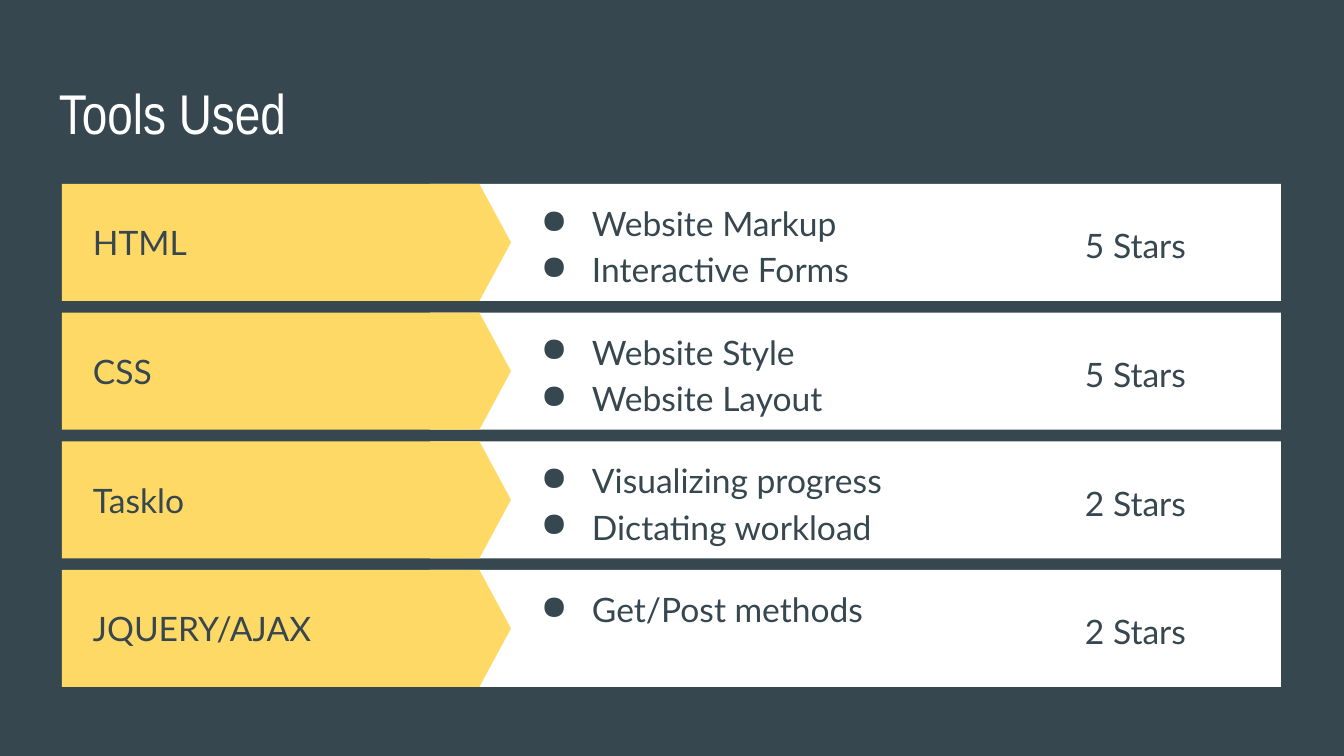
from lxml import etree
from pptx import Presentation
from pptx.dml.color import RGBColor
from pptx.enum.shapes import MSO_SHAPE
from pptx.enum.text import MSO_ANCHOR, MSO_AUTO_SIZE, PP_ALIGN
from pptx.oxml.ns import qn
from pptx.util import Emu, Pt

RECTANGLE, PENTAGON = MSO_SHAPE.RECTANGLE, MSO_SHAPE.PENTAGON
TOP, MIDDLE = MSO_ANCHOR.TOP, MSO_ANCHOR.MIDDLE
LEFT = PP_ALIGN.LEFT
NO_AUTOFIT = MSO_AUTO_SIZE.NONE

SLATE = RGBColor(0x37, 0x47, 0x4F)
YELLOW = RGBColor(0xFF, 0xD9, 0x66)
WHITE = RGBColor(0xFF, 0xFF, 0xFF)

EMU_PER_PX = 914400 / 134.4
INSET = 13
ROW_HEIGHT = 117

TOOLS = [
    ("HTML", ["Website Markup", "Interactive Forms"], "5 Stars"),
    ("CSS", ["Website Style", "Website Layout"], "5 Stars"),
    ("Tasklo", ["Visualizing progress", "Dictating workload"], "2 Stars"),
    ("JQUERY/AJAX", ["Get/Post methods"], "2 Stars"),
]


def px(length):
    return Emu(round(length * EMU_PER_PX))


def set_frame(frame, anchor):
    frame.word_wrap = True
    frame.auto_size = NO_AUTOFIT
    frame.vertical_anchor = anchor
    frame.margin_left = frame.margin_right = px(INSET)
    frame.margin_top = frame.margin_bottom = px(INSET)


def add_run(paragraph, text, size, font_name, color):
    run = paragraph.add_run()
    run.text = text
    run.font.size = Pt(size)
    run.font.name = font_name
    run.font.color.rgb = color


def add_bullet(paragraph):
    properties = paragraph._p.get_or_add_pPr()
    properties.set("marL", str(px(67)))
    properties.set("indent", str(px(-51)))
    bullet_color = etree.SubElement(properties, qn("a:buClr"))
    etree.SubElement(bullet_color, qn("a:srgbClr"), val=str(SLATE))
    etree.SubElement(properties, qn("a:buChar"), char="●")


def add_text(slide, box, lines, anchor=MIDDLE, spacing=None, bulleted=False):
    frame = slide.shapes.add_textbox(*map(px, box)).text_frame
    set_frame(frame, anchor)
    for index, line in enumerate(lines):
        paragraph = frame.add_paragraph() if index else frame.paragraphs[0]
        if bulleted:
            add_bullet(paragraph)
        if spacing:
            paragraph.line_spacing = spacing
        add_run(paragraph, line, 18, "Lato", SLATE)


def add_panel(group, kind, box, color):
    panel = group.shapes.add_shape(kind, *map(px, box))
    panel.shadow.inherit = False
    panel.fill.solid()
    panel.fill.fore_color.rgb = color
    panel.line.fill.background()
    return panel


def add_title(slide, box, text):
    title = slide.shapes.title
    title.left, title.top, title.width, title.height = map(px, box)
    set_frame(title.text_frame, TOP)
    paragraph = title.text_frame.paragraphs[0]
    paragraph.alignment = LEFT
    add_run(paragraph, text, 30, "Arial Narrow", WHITE)


def add_tool_row(slide, box, tool, uses, rating):
    left, top, width, height = box

    # White band with the yellow arrow over its left end
    band = slide.shapes.add_group_shape()
    add_panel(band, RECTANGLE, (left + 368, top, width - 368, height), WHITE)
    arrow = add_panel(band, PENTAGON, (left, top, 449, height), YELLOW)
    arrow.adjustments[0] = 0.27

    # Tool name, what it was used for, rating
    add_text(slide, (left + 18, top, 356, height), [tool])
    add_text(slide, (left + 450, top, 546, height), uses,
             anchor=TOP, spacing=1.15, bulleted=True)
    add_text(slide, (left + 1010, top, 203, height), [rating], spacing=1.15)


def add_tool_list(slide, box):
    left, top, width, height = box
    pitch = (height - ROW_HEIGHT) / (len(TOOLS) - 1)
    for index, (tool, uses, rating) in enumerate(TOOLS):
        row_box = (left, top + index * pitch, width, ROW_HEIGHT)
        add_tool_row(slide, row_box, tool, uses, rating)


def main():
    presentation = Presentation()
    presentation.slide_width, presentation.slide_height = px(1344), px(756)
    slide = presentation.slides.add_slide(presentation.slide_layouts[5])
    slide.background.fill.solid()
    slide.background.fill.fore_color.rgb = SLATE

    add_title(slide, (46, 66, 1253, 85), "Tools Used")
    add_tool_list(slide, (62, 184, 1219, 503))
    presentation.save("out.pptx")


if __name__ == "__main__":
    main()
